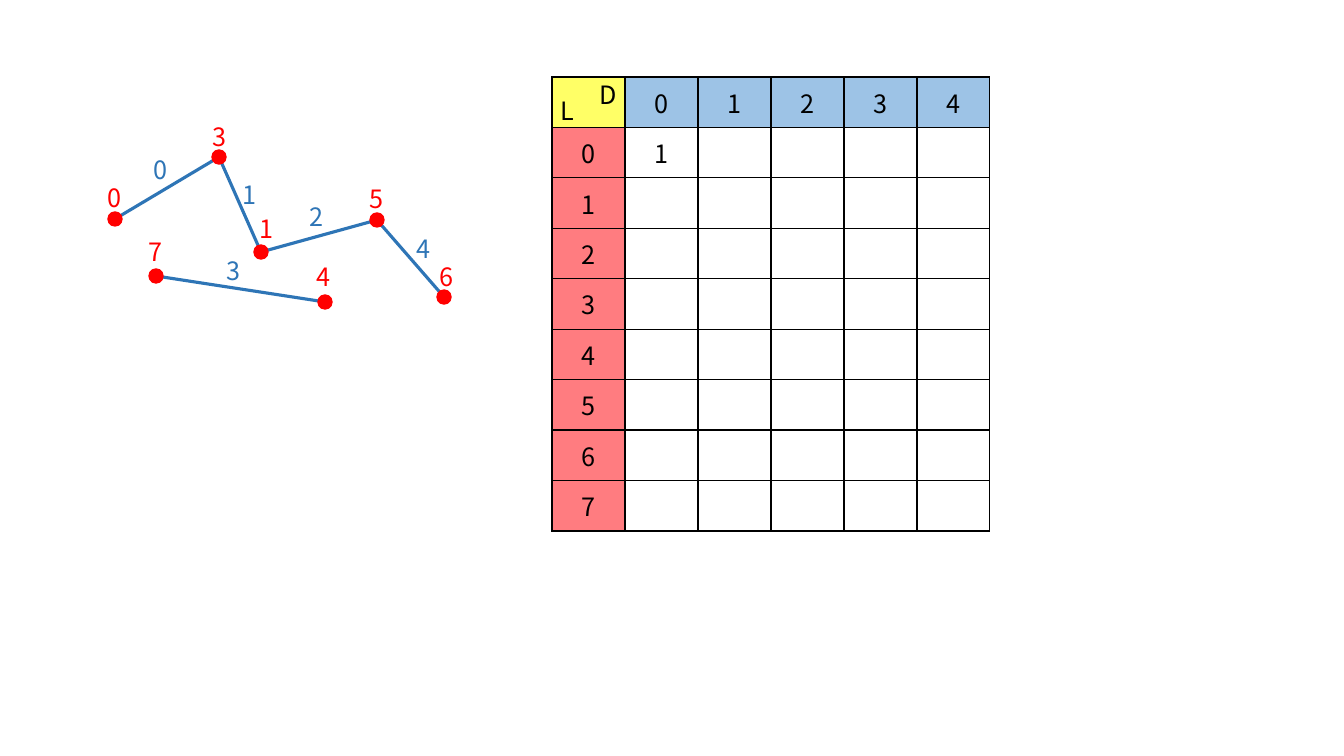
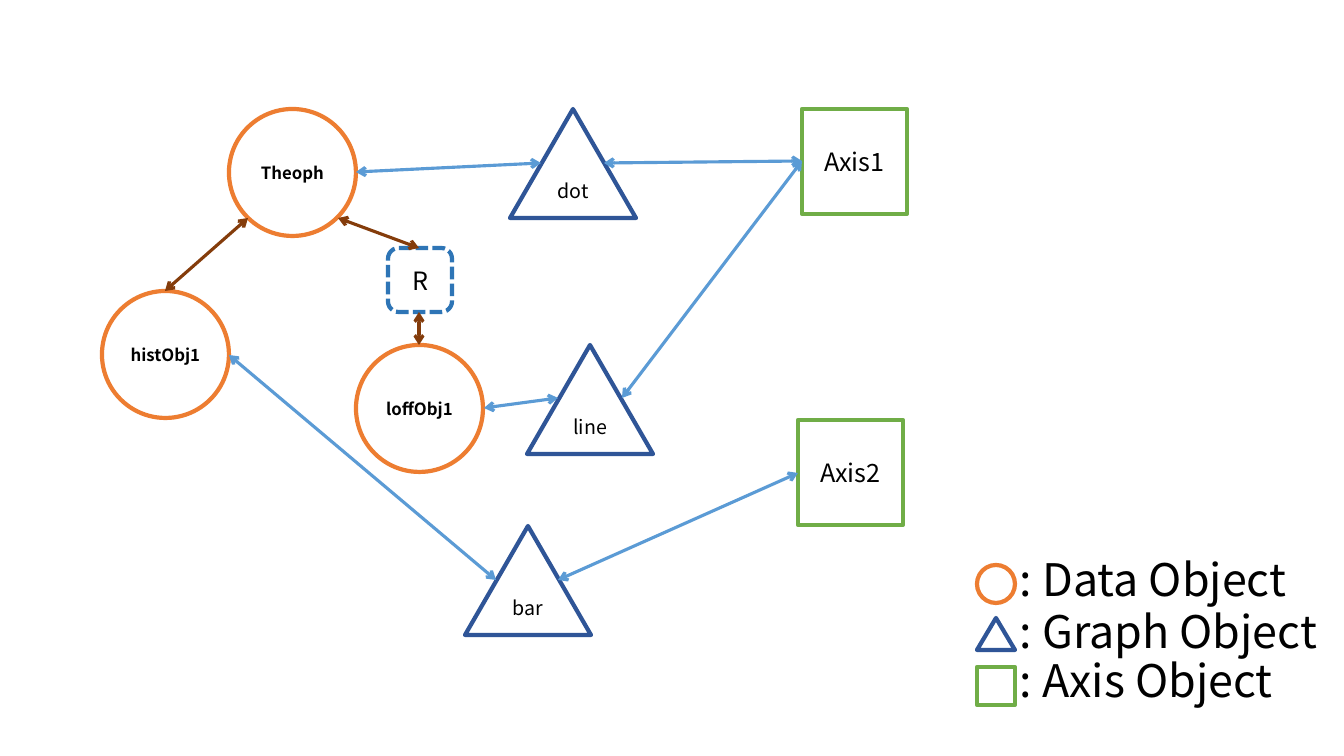
"""Build two diagram slides: a labelled graph with its table, and an object map."""
from lxml import etree
from pptx import Presentation
from pptx.dml.color import RGBColor as RGB
from pptx.enum.dml import MSO_LINE as DASH
from pptx.enum.shapes import MSO_CONNECTOR as CONN, MSO_SHAPE as SHAPE
from pptx.enum.text import MSO_ANCHOR as ANCHOR, MSO_AUTO_SIZE as FIT, PP_ALIGN as ALIGN
from pptx.oxml.ns import qn
from pptx.util import Pt

PX = 914400 / 100.8
FONT = "Noto Sans CJK KR"
C = {"black": "000000", "red": "FF0000", "edge": "2E75B6", "corner": "FFFF66",
     "column": "9DC3E6", "row": "FF7C80", "data": "ED7D31", "graph": "2F5597",
     "axis": "70AD47", "brown": "843C0B", "blue": "5B9BD5"}

prs = Presentation()
prs.slide_width, prs.slide_height = round(1344 * PX), round(756 * PX)


def add_box(s, box, text="", size=18, color="black", kind=None, line=None, fill=None,
            weight=3, bold=False):
    """Add a preset shape, or a text box when no kind is given."""
    emu = [round(v * PX) for v in box]
    if kind is None:
        sp = s.shapes.add_textbox(*emu)
        sp.text_frame.auto_size = FIT.SHAPE_TO_FIT_TEXT
    else:
        sp = s.shapes.add_shape(kind, *emu)
        sp.shadow.inherit = False
        sp.line.color.rgb = RGB.from_string(C[line])
        sp.line.width = Pt(weight)
        if fill:
            sp.fill.solid()
            sp.fill.fore_color.rgb = RGB.from_string(C[fill])
        else:
            sp.fill.background()
        sp.text_frame.vertical_anchor = ANCHOR.MIDDLE
    sp.text_frame.word_wrap = False
    if text:
        p = sp.text_frame.paragraphs[0]
        p.alignment = ALIGN.CENTER if kind else ALIGN.LEFT
        r = p.add_run()
        r.text = text
        for name, value in {"name": FONT, "size": Pt(size), "bold": bold}.items():
            setattr(r.font, name, value)
        r.font.color.rgb = RGB.from_string(C[color])
    return sp


def add_line(s, start, end, color, arrows=False):
    """Add a straight line, with open arrowheads at both ends if asked."""
    ends = [round(v * PX) for v in (*start, *end)]
    cx = s.shapes.add_connector(CONN.STRAIGHT, *ends)
    cx.line.color.rgb = RGB.from_string(C[color])
    cx.line.width = Pt(2.25)
    if arrows:
        for tag in ("a:headEnd", "a:tailEnd"):
            etree.SubElement(cx.line._get_or_add_ln(), qn(tag), type="arrow")
    etree.SubElement(cx._element.spPr, qn("a:effectLst"))


s = prs.slides.add_slide(prs.slide_layouts[6])
nodes = {"0": ((115, 219), (98, 177)), "3": ((219, 157), (203, 116)),
         "1": ((261, 252), (250, 208)), "5": ((377, 220), (360, 178)),
         "6": ((444, 297), (430, 256)), "7": ((156, 276), (139, 231)),
         "4": ((325, 302), (307, 256))}
edges = [("0", "3", (144, 149)), ("3", "1", (233, 174)), ("1", "5", (300, 196)),
         ("7", "4", (217, 250)), ("5", "6", (407, 228))]
for a, b, _ in edges:
    add_line(s, nodes[a][0], nodes[b][0], "edge")
for name, ((x, y), at) in nodes.items():
    add_box(s, (x - 7, y - 7, 14, 14), kind=SHAPE.OVAL, line="red", fill="red", weight=1)
    add_box(s, (*at, 34, 40), name, color="red")
for i, (_, _, at) in enumerate(edges):
    add_box(s, (*at, 34, 40), str(i), color="edge")

rows, cols = len(nodes) + 2, len(edges) + 1
frame = s.shapes.add_table(rows, cols, *[round(v * PX) for v in (552, 77, 438, 454)])
values = {(1, 1): "1"}
values.update({(0, j): str(j - 1) for j in range(1, cols)})
values.update({(i, 0): str(i - 1) for i in range(1, rows)})
for i in range(rows):
    for j in range(cols):
        cell = frame.table.cell(i, j)
        cell.vertical_anchor = ANCHOR.MIDDLE
        p = cell.text_frame.paragraphs[0]
        p.alignment = ALIGN.CENTER
        p.font.size = Pt(18)
        if (i, j) in values:
            r = p.add_run()
            r.text = values[i, j]
            for name, value in {"name": FONT, "size": Pt(18), "bold": False}.items():
                setattr(r.font, name, value)
            r.font.color.rgb = RGB.from_string(C["black"])
        tc_pr = cell._tc.get_or_add_tcPr()
        for tag in ("a:lnL", "a:lnR", "a:lnT", "a:lnB"):
            ln = etree.SubElement(tc_pr, qn(tag), w=str(Pt(1)))
            solid = etree.SubElement(ln, qn("a:solidFill"))
            etree.SubElement(solid, qn("a:srgbClr"), val=C["black"])
        if i and j:
            cell.fill.background()
        else:
            key = "column" if j else "row" if i else "corner"
            cell.fill.solid()
            cell.fill.fore_color.rgb = RGB.from_string(C[key])
add_box(s, (590, 74, 38, 40), "D")
add_box(s, (551, 90, 32, 40), "L")

s = prs.slides.add_slide(prs.slide_layouts[6])
kinds = {
    "data": (SHAPE.OVAL, (127, 127), 12,
             {"Theoph": (229, 109), "histObj1": (102, 291), "loffObj1": (356, 345)}),
    "graph": (SHAPE.ISOSCELES_TRIANGLE, (126, 109), 14,
              {"dot": (510, 109), "line": (527, 345), "bar": (465, 526)}),
    "axis": (SHAPE.RECTANGLE, (105, 105), 18, {"Axis1": (802, 109), "Axis2": (798, 420)}),
}
for key, (kind, extent, size, places) in kinds.items():
    for name, at in places.items():
        add_box(s, (*at, *extent), name, size, kind=kind, line=key, bold=key == "data")
relation = add_box(s, (388, 248, 64, 64), "R", kind=SHAPE.ROUNDED_RECTANGLE, line="edge")
relation.line.dash_style = DASH.SQUARE_DOT

links = {
    "brown": [((248, 218), (165, 291)), ((338, 218), (419, 248)), ((419, 312), (419, 345))],
    "blue": [((356, 172), (541, 163)), ((484, 408), (558, 398)), ((229, 355), (496, 580)),
             ((604, 163), (802, 161)), ((622, 398), (802, 161)), ((558, 580), (798, 473))],
}
for color, pairs in links.items():
    for start, end in pairs:
        add_line(s, start, end, color, arrows=True)

legend = [("data", ": Data Object", 565, 38, 547, 291),
          ("graph", ": Graph Object", 618, 32, 599, 322),
          ("axis", ": Axis Object", 667, 38, 648, 278)]
for key, text, y, height, text_y, width in legend:
    add_box(s, (977, y, 38, height), kind=kinds[key][0], line=key)
    add_box(s, (1010, text_y, width, 65), text, 32)

prs.save("out.pptx")
